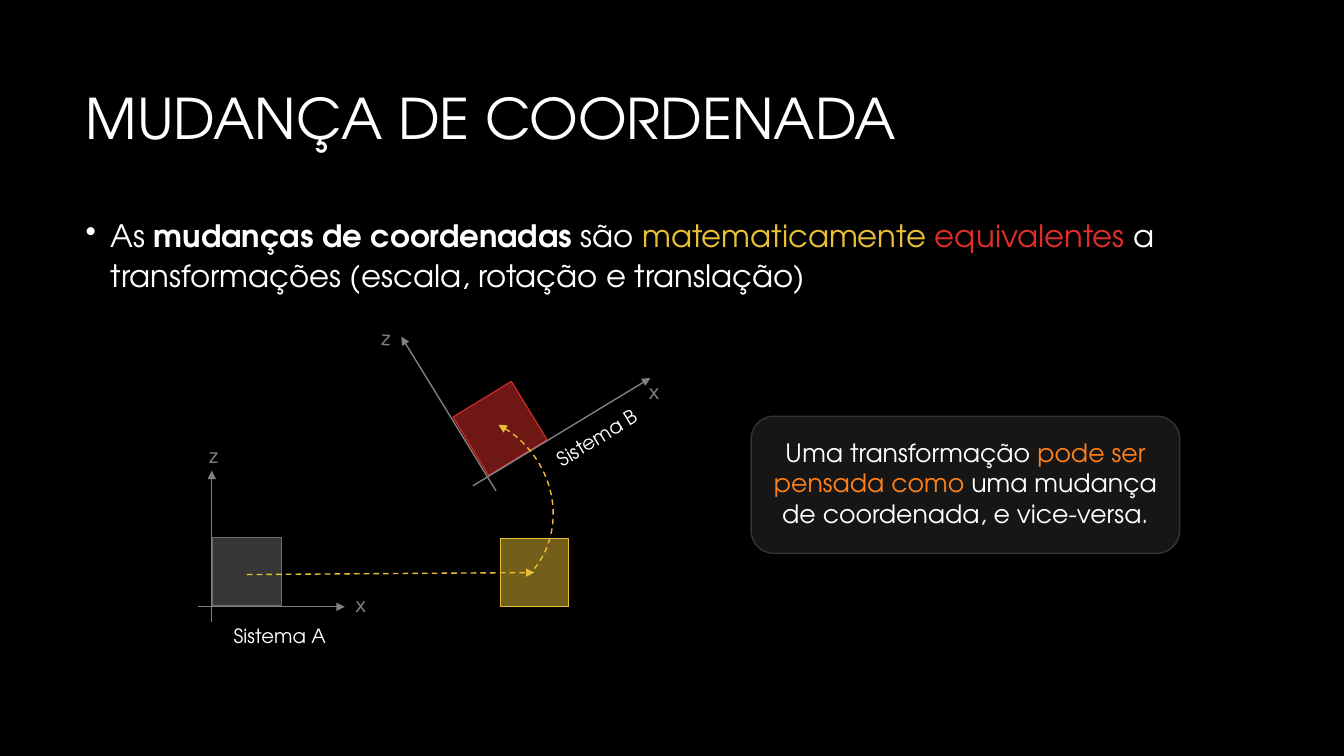
from dataclasses import dataclass

from lxml.etree import SubElement
from pptx import Presentation
from pptx.dml.color import RGBColor
from pptx.enum.dml import MSO_LINE
from pptx.enum.shapes import MSO_CONNECTOR, MSO_SHAPE
from pptx.enum.text import MSO_ANCHOR, MSO_AUTO_SIZE, PP_ALIGN
from pptx.oxml.ns import qn
from pptx.util import Inches, Pt

FONT = "TeX Gyre Adventor"
MONO = "DejaVu Sans Mono"
SQUARE = 0.68
COLORS = {
    "black": "000000", "white": "FFFFFF", "yellow": "E9BF35", "red": "DF2E28",
    "orange": "FE801A", "axis": "808080", "gray": "6D6D6D",
    "panel": "161616", "border": "343434",
}


@dataclass
class Run:
    text: str
    color: str = "white"
    bold: bool = False


@dataclass
class Label:
    text: str
    x: float
    y: float
    width: float
    rotation: float = 0
    font: str = FONT
    color: str = "white"


@dataclass
class Square:
    x: float
    y: float
    color: str
    rotation: float = 0


@dataclass
class Arrow:
    start: tuple[float, float]
    end: tuple[float, float]
    color: str = "axis"
    dashed: bool = False


LABELS = [
    Label("Sistema B", 5.38, 4.16, 1.13, 328.9),
    Label("x", 6.33, 3.72, 0.31, 0, MONO, "axis"),
    Label("z", 3.67, 3.19, 0.31, 2.9, MONO, "axis"),
    Label("Sistema A", 2.22, 6.14, 1.13),
    Label("x", 3.42, 5.83, 0.31, 0, MONO, "axis"),
    Label("z", 1.96, 4.35, 0.31, 0, MONO, "axis"),
]
SQUARES = [
    Square(4.62, 3.91, "red", 328.6),
    Square(2.11, 5.33, "gray"),
    Square(4.96, 5.34, "yellow"),
]
ARROWS = [
    Arrow((4.69, 4.82), (6.45, 3.75)),
    Arrow((4.92, 4.87), (3.98, 3.34)),
    Arrow((2.45, 5.7), (5.3, 5.68), "yellow", True),
    Arrow((1.96, 6.02), (3.42, 6.02)),
    Arrow((2.1, 6.17), (2.1, 4.67)),
]
BODY = [
    Run("As "),
    Run("mudanças de coordenadas", bold=True),
    Run(" são "),
    Run("matematicamente ", "yellow"),
    Run("equivalentes", "red"),
    Run(" a transformações (escala, rotação e translação)"),
]
NOTE = [
    Run("Uma transformação "),
    Run("pode ser pensada como", "orange"),
    Run(" uma mudança de coordenada, e vice-versa."),
]


def rgb(name: str) -> RGBColor:
    return RGBColor.from_string(COLORS[name])


def set_line(s, color: str, width: float, dashed: bool = False) -> None:
    s.line.color.rgb = rgb(color)
    s.line.width = Pt(width)
    if dashed:
        s.line.dash_style = MSO_LINE.DASH


def add_arrowhead(s, end: str) -> None:
    SubElement(s.line._get_or_add_ln(), qn(f"a:{end}"), type="triangle")


def add_preset(slide, kind, x: float, y: float, w: float, h: float):
    s = slide.shapes.add_shape(kind, Inches(x), Inches(y), Inches(w), Inches(h))
    s.shadow.inherit = False
    return s


def add_text(slide, x: float, y: float, w: float, h: float,
             runs: list[Run], size: float, font: str = FONT):
    s = slide.shapes.add_textbox(Inches(x), Inches(y), Inches(w), Inches(h))
    s.text_frame.word_wrap = True
    p = s.text_frame.paragraphs[0]
    p.font.size = Pt(size)
    p.font.name = font
    for run in runs:
        r = p.add_run()
        r.text = run.text
        r.font.bold = run.bold
        r.font.color.rgb = rgb(run.color)
    return s


def add_label(slide, label: Label) -> None:
    s = add_text(slide, label.x, label.y, label.width, 0.34,
                 [Run(label.text, label.color)], 14, label.font)
    s.rotation = label.rotation
    s.text_frame.word_wrap = False


def add_square(slide, square: Square) -> None:
    s = add_preset(slide, MSO_SHAPE.RECTANGLE, square.x, square.y, SQUARE, SQUARE)
    s.rotation = square.rotation
    s.fill.solid()
    s.fill.fore_color.rgb = rgb(square.color)
    fill_color = s.fill._xPr.find(qn("a:solidFill"))[0]
    SubElement(fill_color, qn("a:alpha"), val="50000")
    set_line(s, square.color, 0.75)


def add_arrow(slide, arrow: Arrow) -> None:
    points = [Inches(v) for v in (*arrow.start, *arrow.end)]
    s = slide.shapes.add_connector(MSO_CONNECTOR.STRAIGHT, *points)
    set_line(s, arrow.color, 1, arrow.dashed)
    add_arrowhead(s, "tailEnd")
    SubElement(s._element.spPr, qn("a:effectLst"))


def add_arc(slide) -> None:
    s = add_preset(slide, MSO_SHAPE.ARC, 3.63, 4.15, 1.9, 1.75)
    s.rotation = 50.1
    for i, degrees in enumerate((244.03, 351.21)):
        s.adjustments[i] = degrees * 0.6
    s.fill.background()
    set_line(s, "yellow", 1, True)
    add_arrowhead(s, "headEnd")


def add_title(slide) -> None:
    s = slide.shapes.title
    s.left, s.top, s.width, s.height = map(Inches, (0.75, 0.5, 11.83, 1.41))
    tf = s.text_frame
    tf.text = "MUDANÇA DE COORDENADA"
    tf.vertical_anchor = MSO_ANCHOR.MIDDLE
    tf.auto_size = MSO_AUTO_SIZE.NONE
    p = tf.paragraphs[0]
    p.alignment = PP_ALIGN.LEFT
    p.line_spacing = 0.9
    p.font.size = Pt(40)
    p.font.name = FONT
    p.font.color.rgb = rgb("white")


def add_body(slide) -> None:
    p = add_text(slide, 0.75, 2.06, 11.83, 4.69, BODY, 22).text_frame.paragraphs[0]
    p.line_spacing = 1.1
    p.space_before = Pt(10)
    pPr = p._p.get_or_add_pPr()
    pPr.set("marL", str(Inches(0.25)))
    pPr.set("indent", str(Inches(-0.25)))
    bullet = pPr.makeelement(qn("a:buChar"), {"char": "•"})
    pPr.find(qn("a:defRPr")).addprevious(bullet)


def add_note(slide) -> None:
    s = add_preset(slide, MSO_SHAPE.ROUNDED_RECTANGLE, 7.45, 4.13, 4.25, 1.36)
    s.fill.solid()
    s.fill.fore_color.rgb = rgb("panel")
    set_line(s, "border", 1)
    text = add_text(slide, 7.45, 4.29, 4.25, 1.01, NOTE, 18)
    text.text_frame.paragraphs[0].alignment = PP_ALIGN.CENTER


def main() -> None:
    """Build the slide on changes of coordinates and save it."""
    prs = Presentation()
    prs.slide_width, prs.slide_height = Inches(13.33), Inches(7.5)
    slide = prs.slides.add_slide(prs.slide_layouts[5])
    slide.background.fill.solid()
    slide.background.fill.fore_color.rgb = rgb("black")
    add_title(slide)
    add_body(slide)
    add_note(slide)
    for square in SQUARES:
        add_square(slide, square)
    for arrow in ARROWS:
        add_arrow(slide, arrow)
    add_arc(slide)
    for label in LABELS:
        add_label(slide, label)
    prs.save("out.pptx")


if __name__ == "__main__":
    main()
